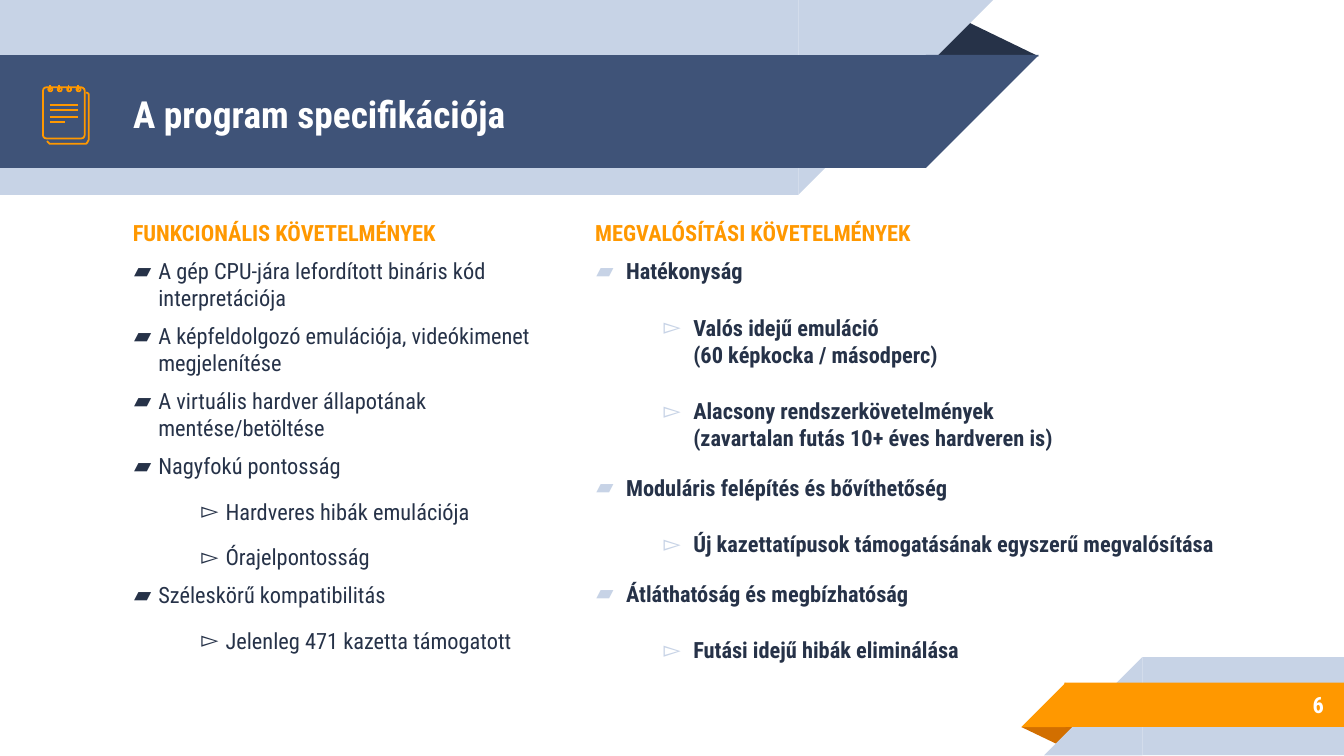
from lxml import etree
from pptx import Presentation
from pptx.dml.color import RGBColor
from pptx.enum.shapes import MSO_CONNECTOR, MSO_SHAPE
from pptx.enum.text import MSO_ANCHOR, MSO_AUTO_SIZE, PP_ALIGN
from pptx.oxml.ns import qn
from pptx.util import Inches, Pt

RECT, RIGHT_TRIANGLE = MSO_SHAPE.RECTANGLE, MSO_SHAPE.RIGHT_TRIANGLE
TRIANGLE, OVAL = MSO_SHAPE.ISOSCELES_TRIANGLE, MSO_SHAPE.OVAL
ROUNDED, STRAIGHT = MSO_SHAPE.ROUNDED_RECTANGLE, MSO_CONNECTOR.STRAIGHT
TOP, MIDDLE = MSO_ANCHOR.TOP, MSO_ANCHOR.MIDDLE
LEFT, RIGHT = PP_ALIGN.LEFT, PP_ALIGN.RIGHT
NO_AUTOFIT = MSO_AUTO_SIZE.NONE

FONT = "Roboto Condensed"
NAVY, BLUE, PALE = "263248", "3F5378", "C7D3E6"
ORANGE, DARK_ORANGE, WHITE = "FF9800", "D26F00", "FFFFFF"


def paint(target, color):
    """Give a solid colour to a fill, or to a font or line through its fill."""
    fill = target if hasattr(target, "solid") else target.fill
    fill.solid()
    fill.fore_color.rgb = RGBColor.from_string(color)


def style_text(paragraph, color, size=12, bold=True):
    paragraph.font.name = FONT
    paragraph.font.size = Pt(size)
    paragraph.font.bold = bold
    paint(paragraph.font, color)


prs = Presentation()
prs.slide_width = Inches(10)
prs.slide_height = Inches(10 * 9 / 16)
slide = prs.slides.add_slide(prs.slide_layouts[5])
shapes = slide.shapes

# Header and footer ribbons: each band is a rectangle with a slanted end
ribbons = [
    (TRIANGLE, 6.88, 0.14, 0.85, 0.28, NAVY, None),
    (RECT, 0, 0, 5.94, 1.45, PALE, None),
    (RIGHT_TRIANGLE, 5.94, 0, 1.45, 1.45, PALE, "flipV"),
    (RECT, 0, 0.41, 6.89, 0.84, BLUE, None),
    (RIGHT_TRIANGLE, 6.89, 0.41, 0.84, 0.84, BLUE, "flipV"),
    (TRIANGLE, 7.6, 5.41, 0.43, 0.14, DARK_ORANGE, "rotate"),
    (RECT, 8.5, 4.89, 1.5, 0.73, PALE, None),
    (RIGHT_TRIANGLE, 7.77, 4.89, 0.73, 0.73, PALE, "flipH"),
    (RECT, 7.92, 5.08, 2.08, 0.33, ORANGE, None),
    (RIGHT_TRIANGLE, 7.6, 5.08, 0.33, 0.33, ORANGE, "flipH"),
]
for kind, x, y, width, height, color, turn in ribbons:
    ribbon = shapes.add_shape(kind, Inches(x), Inches(y), Inches(width), Inches(height))
    ribbon.shadow.inherit = False
    paint(ribbon.fill, color)
    ribbon.line.fill.background()
    if kind == TRIANGLE:
        ribbon.adjustments[0] = 0.32
    if turn == "rotate":
        ribbon.rotation = 180
    elif turn:
        ribbon.element.spPr.find(qn("a:xfrm")).set(turn, "1")

# Title, page number and the two columns of requirements
title = shapes.title
title.element.getparent().append(title.element)  # in front of the ribbons
right_column = shapes.add_textbox(0, 0, 0, 0)
page_number = shapes.add_textbox(0, 0, 0, 0)
left_column = shapes.add_textbox(0, 0, 0, 0)
frames = [
    (title, 0.89, 0.43, 5.75, 0.83, MIDDLE),
    (right_column, 4.33, 1.53, 5.28, 3.96, TOP),
    (page_number, 8.33, 5.07, 1.62, 0.34, MIDDLE),
    (left_column, 0.89, 1.53, 3.37, 1.92, TOP),
]
for box, x, y, width, height, anchor in frames:
    box.left, box.top = Inches(x), Inches(y)
    box.width, box.height = Inches(width), Inches(height)
    frame = box.text_frame
    frame.word_wrap = True
    frame.auto_size = NO_AUTOFIT
    frame.vertical_anchor = anchor
    frame.margin_left = frame.margin_right = Inches(0.1)
    frame.margin_top = frame.margin_bottom = Inches(0.1)

for box, text, size, align in [
    (title, "A program specifikációja", 20, LEFT),
    (page_number, "6", 12, RIGHT),
]:
    line = box.text_frame.paragraphs[0]
    line.text = text
    line.alignment = align
    style_text(line, WHITE, size)

functional = [
    (0, "A gép CPU-jára lefordított bináris kód interpretációja"),
    (0, "A képfeldolgozó emulációja, videókimenet megjelenítése"),
    (0, "A virtuális hardver állapotának mentése/betöltése"),
    (0, "Nagyfokú pontosság"),
    (1, "Hardveres hibák emulációja"),
    (1, "Órajelpontosság"),
    (0, "Széleskörű kompatibilitás"),
    (1, "Jelenleg 471 kazetta támogatott"),
]
implementation = [
    (0, "Hatékonyság"),
    (1, "Valós idejű emuláció\v(60 képkocka / másodperc)"),
    (1, "Alacsony rendszerkövetelmények\v(zavartalan futás 10+ éves hardveren is)"),
    (0, "Moduláris felépítés és bővíthetőség"),
    (1, "Új kazettatípusok támogatásának egyszerű megvalósítása"),
    (0, "Átláthatóság és megbízhatóság"),
    (1, "Futási idejű hibák eliminálása"),
]
columns = [
    (left_column, "FUNKCIONÁLIS KÖVETELMÉNYEK", functional, NAVY, False, 0, 0.19),
    (right_column, "MEGVALÓSÍTÁSI KÖVETELMÉNYEK", implementation, PALE, True, 6, 0.23),
]
for box, heading, items, bullet_color, bold, space_after, indent in columns:
    head = box.text_frame.paragraphs[0]
    head.text = heading
    head.space_before = Pt(6)
    style_text(head, ORANGE)
    for level, text in items:
        item = box.text_frame.add_paragraph()
        item.text = text
        item.level = level
        item.space_before = Pt(10 if level else 6)
        item.space_after = Pt(space_after)
        props = item._p.get_or_add_pPr()
        props.set("marL", str(Inches(indent + 0.5 * level)))
        props.set("indent", str(Inches(0.01 - indent)))
        bullet_fill = etree.SubElement(props, qn("a:buClr"))
        etree.SubElement(bullet_fill, qn("a:srgbClr"), val=bullet_color)
        etree.SubElement(props, qn("a:buFont"), typeface=FONT)
        etree.SubElement(props, qn("a:buChar"), char="▻" if level else "▰")
        style_text(item, NAVY, bold=bold)

# Notepad icon: back page, front page, rings, written lines and ring pins
back_edge = [(0.35, 1.05), (0.36, 1.06), (0.37, 1.07), (0.64, 1.07),
             (0.65, 1.06), (0.66, 1.04), (0.66, 0.7), (0.65, 0.69), (0.64, 0.69)]
corners = [(Inches(x), Inches(y)) for x, y in back_edge]
builder = shapes.build_freeform(*corners[0])
builder.add_line_segments(corners[1:], close=False)
back_page = builder.convert_to_shape()
front_page = shapes.add_shape(ROUNDED, Inches(0.32), Inches(0.65), Inches(0.31), Inches(0.38))
front_page.adjustments[0] = 0.08
icon_parts = [back_page, front_page]

pins = [0.37 + 0.07 * i for i in range(4)]
for x in pins:
    icon_parts.append(shapes.add_shape(
        OVAL, Inches(x - 0.01), Inches(0.65), Inches(0.03), Inches(0.03)))
strokes = [(0.37, y, end, y) for y, end in
           [(0.78, 0.58), (0.82, 0.58), (0.87, 0.58), (0.91, 0.48)]]
strokes += [(x, 0.63, x, 0.67) for x in pins]
for part in icon_parts:
    part.shadow.inherit = False
    part.fill.background()
for stroke in strokes:
    connector = shapes.add_connector(STRAIGHT, *[Inches(v) for v in stroke])
    etree.SubElement(connector.element.spPr, qn("a:effectLst"))
    icon_parts.append(connector)
for part in icon_parts:
    paint(part.line, ORANGE)
    part.line.width = Pt(0.96)

prs.save("out.pptx")
